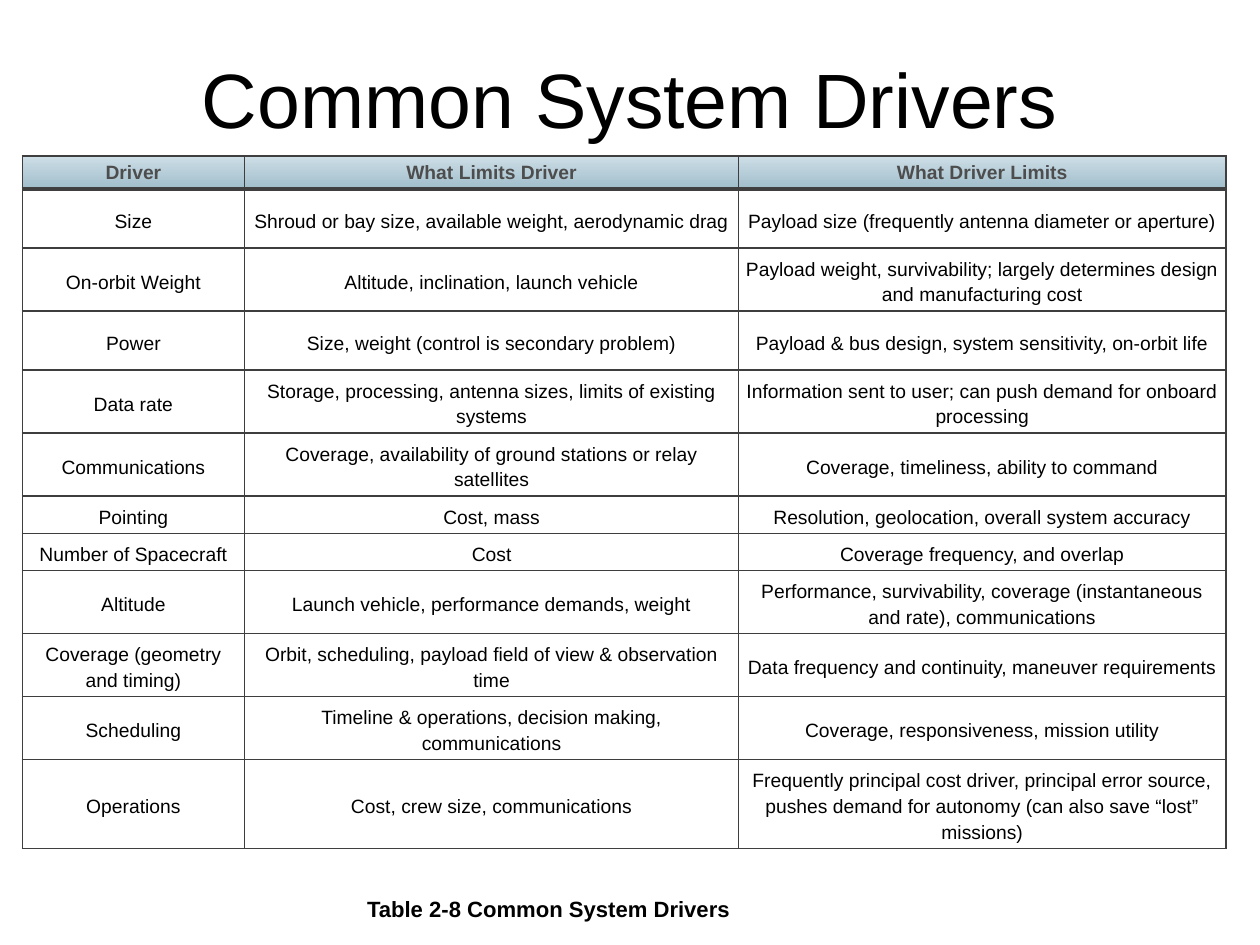
import dataclasses

import lxml.etree
import pptx
import pptx.dml.color
import pptx.enum.text
import pptx.oxml.ns
import pptx.util

Cm = pptx.util.Cm
Pt = pptx.util.Pt
ALIGN = pptx.enum.text.PP_ALIGN
ANCHOR = pptx.enum.text.MSO_ANCHOR
FIT = pptx.enum.text.MSO_AUTO_SIZE

HUES = {
    "ink": "000000",
    "head": "4D4D4D",
    "top": "CEDEE7",
    "base": "A0BECB",
    "cell": "FFFFFF",
    "edge": "3F3F3F",
    "grid": "3E3E3E",
}

# Column widths and row heights, in cm
COLS = (4.48, 9.96, 9.82)
HEAD, ONE, MID, TWO, THREE = 0.67, 0.75, 1.19, 1.27, 1.79


@dataclasses.dataclass
class Row:
    high: float
    texts: tuple[str, str, str]


@dataclasses.dataclass
class Label:
    text: str
    box: tuple[float, float, float, float]
    frame: dict
    para: dict
    font: dict
    inset: float = 0


ROWS = [
    Row(HEAD, ("Driver", "What Limits Driver", "What Driver Limits")),
    Row(MID, ("Size", "Shroud or bay size, available weight, aerodynamic drag",
              "Payload size (frequently antenna diameter or aperture)")),
    Row(TWO, ("On-orbit Weight", "Altitude, inclination, launch vehicle",
              "Payload weight, survivability; largely determines design and manufacturing cost")),
    Row(MID, ("Power", "Size, weight (control is secondary problem)",
              "Payload & bus design, system sensitivity, on-orbit life")),
    Row(TWO, ("Data rate", "Storage, processing, antenna sizes, limits of existing systems",
              "Information sent to user; can push demand for onboard processing")),
    Row(TWO, ("Communications", "Coverage, availability of ground stations or relay satellites",
              "Coverage, timeliness, ability to command")),
    Row(ONE, ("Pointing", "Cost, mass", "Resolution, geolocation, overall system accuracy")),
    Row(ONE, ("Number of Spacecraft", "Cost", "Coverage frequency, and overlap")),
    Row(TWO, ("Altitude", "Launch vehicle, performance demands, weight",
              "Performance, survivability, coverage (instantaneous and rate), communications")),
    Row(TWO, ("Coverage (geometry and timing)",
              "Orbit, scheduling, payload field of view & observation time",
              "Data frequency and continuity, maneuver requirements")),
    Row(TWO, ("Scheduling", "Timeline & operations, decision making, communications",
              "Coverage, responsiveness, mission utility")),
    Row(THREE, ("Operations", "Cost, crew size, communications",
                "Frequently principal cost driver, principal error source, pushes demand "
                "for autonomy (can also save “lost” missions)")),
]

LABELS = [
    Label("Common System Drivers", (1.27, 0, 22.86, 3.94),
          {"word_wrap": True, "vertical_anchor": ANCHOR.MIDDLE},
          {"alignment": ALIGN.CENTER}, {"size": Pt(44), "bold": False}),
    Label("Table 2-8 Common System Drivers", (7.25, 18.05, 8.81, 0.53),
          {"word_wrap": True, "auto_size": FIT.SHAPE_TO_FIT_TEXT, "margin_left": 0,
           "margin_top": 0, "margin_right": Cm(0.1), "margin_bottom": 0},
          {"alignment": ALIGN.LEFT}, {"size": Pt(12.6), "bold": True}, 0.15),
]

PAD = {
    "margin_left": Cm(0.12),
    "margin_right": Cm(0.12),
    "margin_top": Cm(0.06),
    "margin_bottom": Cm(0.03),
}


def tint(name: str) -> pptx.dml.color.RGBColor:
    return pptx.dml.color.RGBColor.from_string(HUES[name])


def put(thing: object, form: dict) -> None:
    for key, value in form.items():
        setattr(thing, key, value)


def write(frame, text: str, para: dict, font: dict, hue: str):
    """Fill the first paragraph of a text frame."""
    line = frame.paragraphs[0]
    run = line.add_run()
    run.text = text
    put(line, para)
    put(run.font, {"name": "Arial", **font})
    run.font.color.rgb = tint(hue)
    return line


def edge(cell, sides: dict[str, tuple[str, float]]) -> None:
    """Add cell borders; sides come in the order L, R, T, B."""
    props = cell._tc.get_or_add_tcPr()
    name = pptx.oxml.ns.qn
    for spot, (side, (hue, wide)) in enumerate(sides.items()):
        rule = lxml.etree.Element(name(f"a:ln{side}"), w=str(Pt(wide)))
        fill = lxml.etree.SubElement(rule, name("a:solidFill"))
        lxml.etree.SubElement(fill, name("a:srgbClr"), val=HUES[hue])
        props.insert(spot, rule)


def paint(cell, head: bool) -> None:
    fill = cell.fill
    if head:
        fill.gradient()
        fill.gradient_angle = 270
        for stop, hue in zip(fill.gradient_stops, ("top", "base")):
            stop.color.rgb = tint(hue)
    else:
        fill.solid()
        fill.fore_color.rgb = tint("cell")


def draw_table(slide, rows: list[Row]) -> None:
    shape = slide.shapes.add_table(len(rows), len(COLS), Cm(0.45), Cm(3.14),
                                   Cm(sum(COLS)), Cm(sum(row.high for row in rows)))
    table = shape.table
    put(table, {"first_row": False, "horz_banding": False})
    for col, wide in zip(table.columns, COLS):
        col.width = Cm(wide)
    thin, firm, bold = ("grid", 0.75), ("edge", 1), ("edge", 2)
    end, last = len(rows) - 1, len(COLS) - 1
    for y, row in enumerate(rows):
        table.rows[y].height = Cm(row.high)
        head = y == 0
        para = {"alignment": ALIGN.CENTER}
        if not head:
            para["line_spacing"] = 1.2
        for x, text in enumerate(row.texts):
            cell = table.cell(y, x)
            put(cell, {"vertical_anchor": ANCHOR.MIDDLE, **PAD})
            write(cell.text_frame, text, para, {"size": Pt(11), "bold": head},
                  "head" if head else "ink")
            paint(cell, head)
            edge(cell, {
                "L": firm if x == 0 else thin,
                "R": firm if x == last else thin,
                "T": {0: firm, 1: bold}.get(y, thin),
                "B": {0: bold, end: firm}.get(y, thin),
            })


def draw_label(slide, label: Label) -> None:
    box = slide.shapes.add_textbox(*map(Cm, label.box))
    put(box.text_frame, label.frame)
    line = write(box.text_frame, label.text, label.para, label.font, "ink")
    if label.inset:
        line._p.get_or_add_pPr().set("marL", str(Cm(label.inset)))


def main() -> None:
    deck = pptx.Presentation()
    put(deck, {"slide_width": Cm(25.4), "slide_height": Cm(19.05)})
    slide = deck.slides.add_slide(deck.slide_layouts[6])
    title, note = LABELS
    # Title, table of drivers, caption
    draw_label(slide, title)
    draw_table(slide, ROWS)
    draw_label(slide, note)
    deck.save("out.pptx")


if __name__ == "__main__":
    main()
